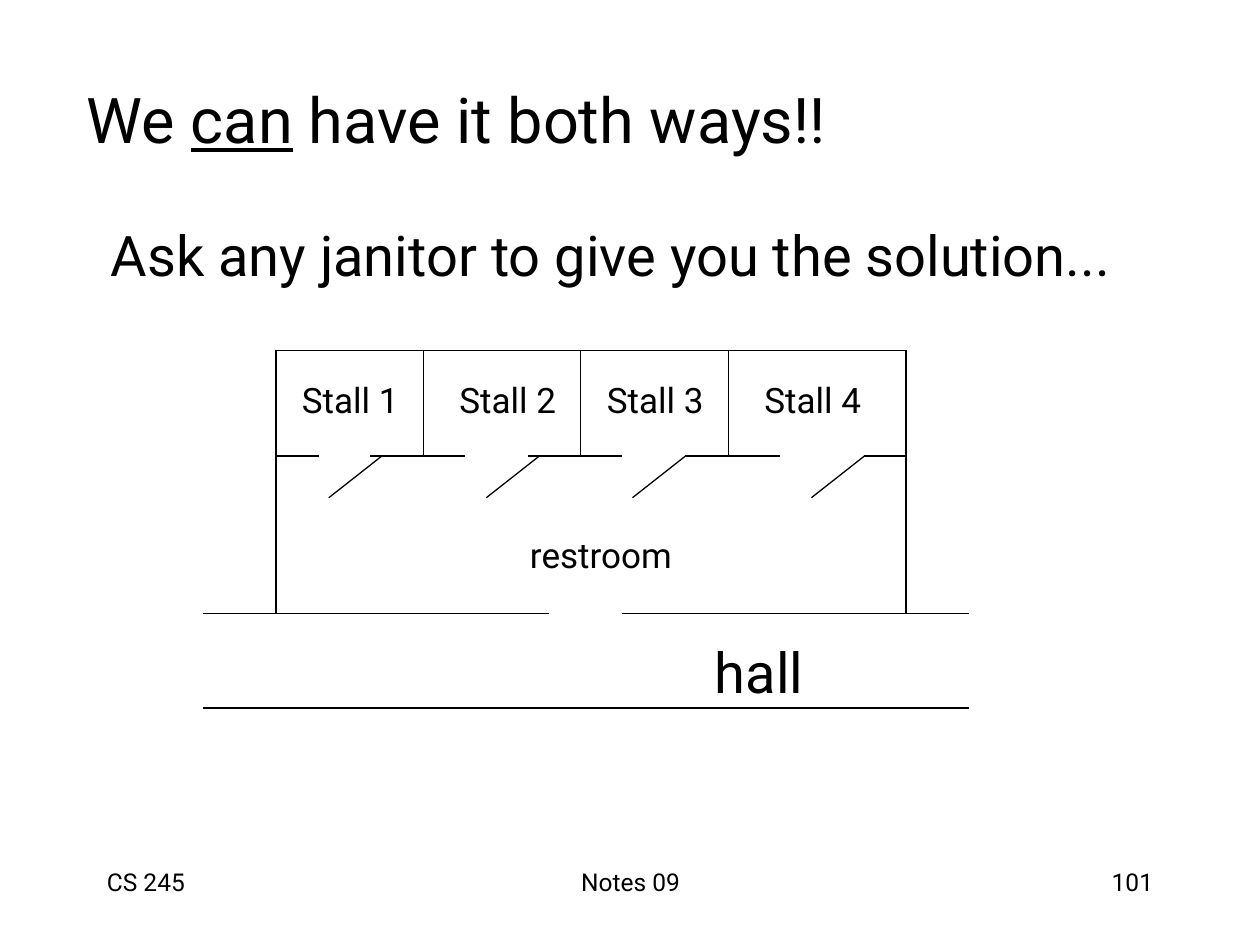
from dataclasses import dataclass

from lxml import etree
from pptx import Presentation
from pptx.dml.color import RGBColor
from pptx.enum.shapes import MSO_CONNECTOR
from pptx.enum.text import MSO_ANCHOR, MSO_AUTO_SIZE, PP_ALIGN
from pptx.oxml.ns import qn
from pptx.slide import Slide
from pptx.text.text import _Paragraph
from pptx.util import Inches, Pt

LEFT, CENTER, RIGHT = PP_ALIGN.LEFT, PP_ALIGN.CENTER, PP_ALIGN.RIGHT
TOP, MIDDLE = MSO_ANCHOR.TOP, MSO_ANCHOR.MIDDLE
STRAIGHT = MSO_CONNECTOR.STRAIGHT


@dataclass(frozen=True)
class Theme:
    font: str = "Roboto"
    ink: RGBColor = RGBColor(0, 0, 0)
    title: int = 36
    body: int = 32
    label: int = 20
    footer: int = 14
    line: float = 0.75


@dataclass(frozen=True)
class Label:
    text: str
    left: float
    top: float
    width: float
    height: float
    size: int
    align: PP_ALIGN = CENTER
    anchor: MSO_ANCHOR = MIDDLE
    wrap: bool = False


@dataclass(frozen=True)
class Stall:
    name: str
    left_wall: float
    opening_start: float
    opening_end: float
    hinge: float
    label_left: float


THEME = Theme()

ROOM_LEFT, ROOM_RIGHT = 2.19, 7.19
BACK_WALL, STALL_FRONT, HALL_NEAR, HALL_FAR = 2.78, 3.62, 4.87, 5.62
HALL_LEFT, HALL_RIGHT = 1.61, 7.69
ENTRANCE_START, ENTRANCE_END = 4.36, 4.94
DOOR_WIDTH, DOOR_DEPTH = 0.42, 0.33

STALLS = [
    Stall("Stall 1", ROOM_LEFT, 2.53, 2.94, 3.03, 2.29),
    Stall("Stall 2", 3.36, 3.69, 4.19, 4.28, 3.54),
    Stall("Stall 3", 4.61, 4.94, 5.44, 5.44, 4.71),
    Stall("Stall 4", 5.78, 6.19, 6.86, 6.86, 5.96),
]

LABELS = [
    Label("Ask any janitor to give you the solution...", 0.78, 1.7, 8.5, 0.7,
          THEME.body, LEFT, TOP, True),
    Label("restroom", 4.06, 4.18, 1.42, 0.44, THEME.label),
    Label("hall", 5.55, 5.01, 0.95, 0.64, THEME.body),
    Label("CS 245", 0.75, 6.83, 2.08, 0.5, THEME.footer, LEFT, TOP, True),
    Label("Notes 09", 3.42, 6.83, 3.17, 0.5, THEME.footer, CENTER, TOP, True),
    Label("101", 7.17, 6.83, 2.08, 0.5, THEME.footer, RIGHT, TOP, True),
]


def style_paragraph(para: _Paragraph, size: int, align: PP_ALIGN) -> None:
    para.alignment = align
    para.font.name = THEME.font
    para.font.size = Pt(size)
    para.font.color.rgb = THEME.ink


def add_title(page: Slide) -> None:
    title = page.shapes.title
    title.left, title.top = Inches(0.59), Inches(0.49)
    title.width, title.height = Inches(8.5), Inches(0.9)
    frame = title.text_frame
    frame.auto_size = MSO_AUTO_SIZE.NONE
    frame.vertical_anchor = MIDDLE
    para = frame.paragraphs[0]
    for text, underlined in (("We ", False), ("can", True), (" have it both ways!!", False)):
        span = para.add_run()
        span.text = text
        if underlined:
            span.font.underline = True
    style_paragraph(para, THEME.title, LEFT)


def add_label(page: Slide, label: Label) -> None:
    box = page.shapes.add_textbox(Inches(label.left), Inches(label.top),
                                  Inches(label.width), Inches(label.height))
    frame = box.text_frame
    frame.word_wrap = label.wrap
    frame.vertical_anchor = label.anchor
    para = frame.paragraphs[0]
    para.text = label.text
    style_paragraph(para, label.size, label.align)


def add_line(page: Slide, x1: float, y1: float, x2: float, y2: float) -> None:
    line = page.shapes.add_connector(STRAIGHT, Inches(x1), Inches(y1), Inches(x2), Inches(y2))
    line.line.color.rgb = THEME.ink
    line.line.width = Pt(THEME.line)
    etree.SubElement(line._element.spPr, qn("a:effectLst"))


def draw_room(page: Slide) -> None:
    add_line(page, HALL_LEFT, HALL_FAR, HALL_RIGHT, HALL_FAR)
    add_line(page, HALL_LEFT, HALL_NEAR, ENTRANCE_START, HALL_NEAR)
    add_line(page, ENTRANCE_END, HALL_NEAR, HALL_RIGHT, HALL_NEAR)
    for side in (ROOM_LEFT, ROOM_RIGHT):
        add_line(page, side, HALL_NEAR, side, BACK_WALL)
    add_line(page, ROOM_LEFT, BACK_WALL, ROOM_RIGHT, BACK_WALL)


def draw_stalls(page: Slide) -> None:
    """Draw partitions, the front wall between the openings, and open doors."""
    for stall in STALLS[1:]:
        add_line(page, stall.left_wall, BACK_WALL, stall.left_wall, STALL_FRONT)
    starts = [ROOM_LEFT] + [stall.opening_end for stall in STALLS]
    ends = [stall.opening_start for stall in STALLS] + [ROOM_RIGHT]
    for start, end in zip(starts, ends):
        add_line(page, start, STALL_FRONT, end, STALL_FRONT)
    for stall in STALLS:
        add_line(page, stall.hinge, STALL_FRONT,
                 stall.hinge - DOOR_WIDTH, STALL_FRONT + DOOR_DEPTH)
        add_label(page, Label(stall.name, stall.label_left, 2.95, 0.98, 0.44, THEME.label))


def main() -> None:
    deck = Presentation()
    deck.slide_width, deck.slide_height = Inches(10), Inches(7.5)
    page = deck.slides.add_slide(deck.slide_layouts[5])
    add_title(page)
    draw_room(page)
    draw_stalls(page)
    for label in LABELS:
        add_label(page, label)
    deck.save("out.pptx")


if __name__ == "__main__":
    main()
